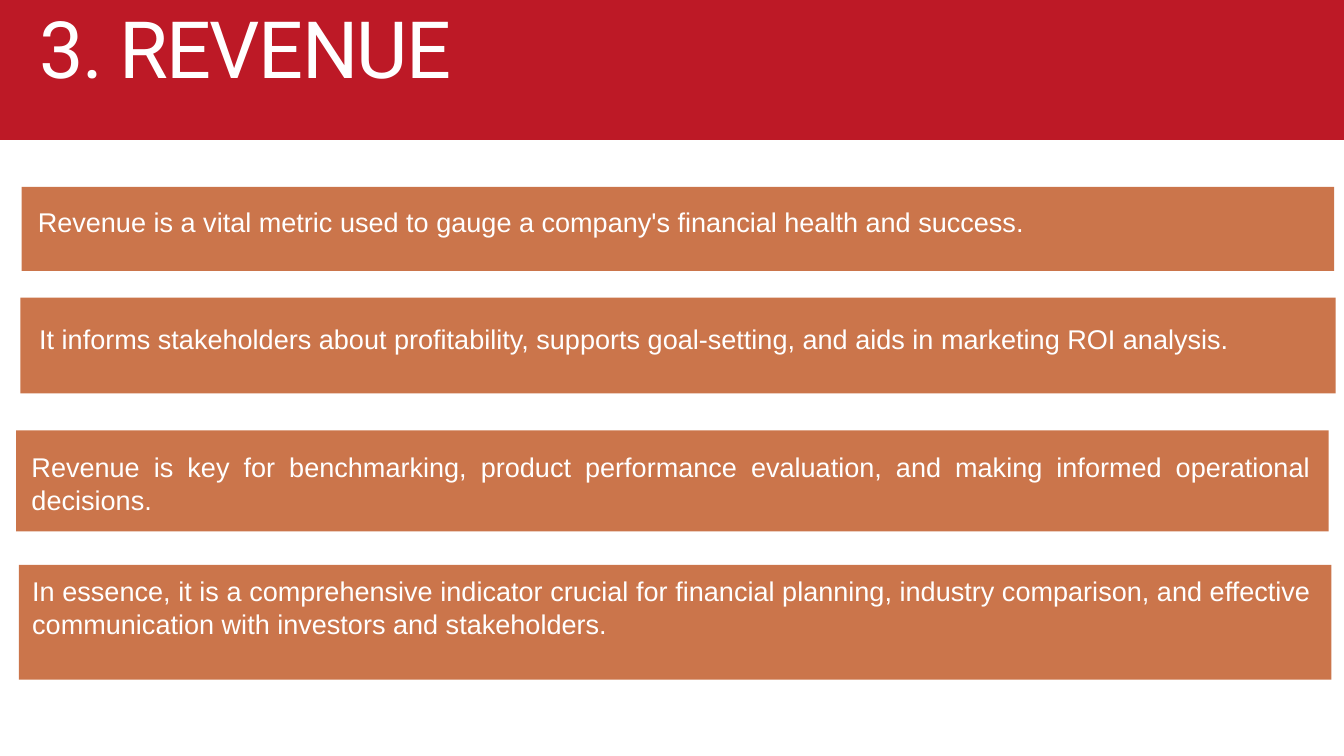
from pptx import Presentation
from pptx.dml.color import RGBColor
from pptx.enum.shapes import MSO_SHAPE
from pptx.enum.text import PP_ALIGN
from pptx.util import Pt

SCALE = 9525
RED = RGBColor(0xBD, 0x19, 0x26)
CLAY = RGBColor(0xCB, 0x75, 0x4B)
WHITE = RGBColor(0xFF, 0xFF, 0xFF)
LEFT, BOTH = PP_ALIGN.LEFT, PP_ALIGN.JUSTIFY

POINTS = [
    ((31, 267, 1875, 120), (54, 294, 1854, 93), LEFT,
     "Revenue is a vital metric used to gauge a company's financial health and success."),
    ((29, 425, 1879, 137), (56, 461, 1829, 93), LEFT,
     "It informs stakeholders about profitability, supports goal-setting, "
     "and aids in marketing ROI analysis."),
    ((23, 615, 1875, 144), (45, 644, 1829, 139), BOTH,
     "Revenue is key for benchmarking, product performance evaluation, "
     "and making informed operational decisions."),
    ((27, 807, 1875, 164), (46, 821, 1829, 139), BOTH,
     "In essence, it is a comprehensive indicator crucial for financial planning, "
     "industry comparison, and effective communication with investors and stakeholders."),
]


def px(*sizes):
    """Turn px lengths into EMU."""
    return [size * SCALE for size in sizes]


def add_bar(slide, box, color):
    """Draw a plain filled bar."""
    bar = slide.shapes.add_shape(MSO_SHAPE.RECTANGLE, *px(*box))
    bar.shadow.inherit = False
    bar.fill.solid()
    bar.fill.fore_color.rgb = color
    bar.line.fill.background()


def add_text(slide, box, text, font, size, lead, align=LEFT):
    """Write one white paragraph and return its run."""
    frame = slide.shapes.add_textbox(*px(*box)).text_frame
    frame.word_wrap = True
    frame.margin_left = frame.margin_right = 0
    frame.margin_top = frame.margin_bottom = 0
    para = frame.paragraphs[0]
    para.text = text
    para.alignment = align
    para.line_spacing = Pt(lead)
    run = para.runs[0]
    run.font.name = font
    run.font.size = Pt(size)
    run.font.color.rgb = WHITE
    return run


def main():
    """Build the revenue slide."""
    deck = Presentation()
    deck.slide_width, deck.slide_height = px(1920, 1080)
    slide = deck.slides.add_slide(deck.slide_layouts[6])
    add_bar(slide, (-61, -12, 2032, 212), RED)
    title = add_text(slide, (56, 36, 847, 108), "3. REVENUE", "Roboto", 84.7, 74.5)
    title.font._element.set("spc", "-170")
    for bar, box, align, text in POINTS:
        add_bar(slide, bar, CLAY)
        add_text(slide, box, text, "Arial", 29, 34.9, align)
    deck.save("out.pptx")


if __name__ == "__main__":
    main()
